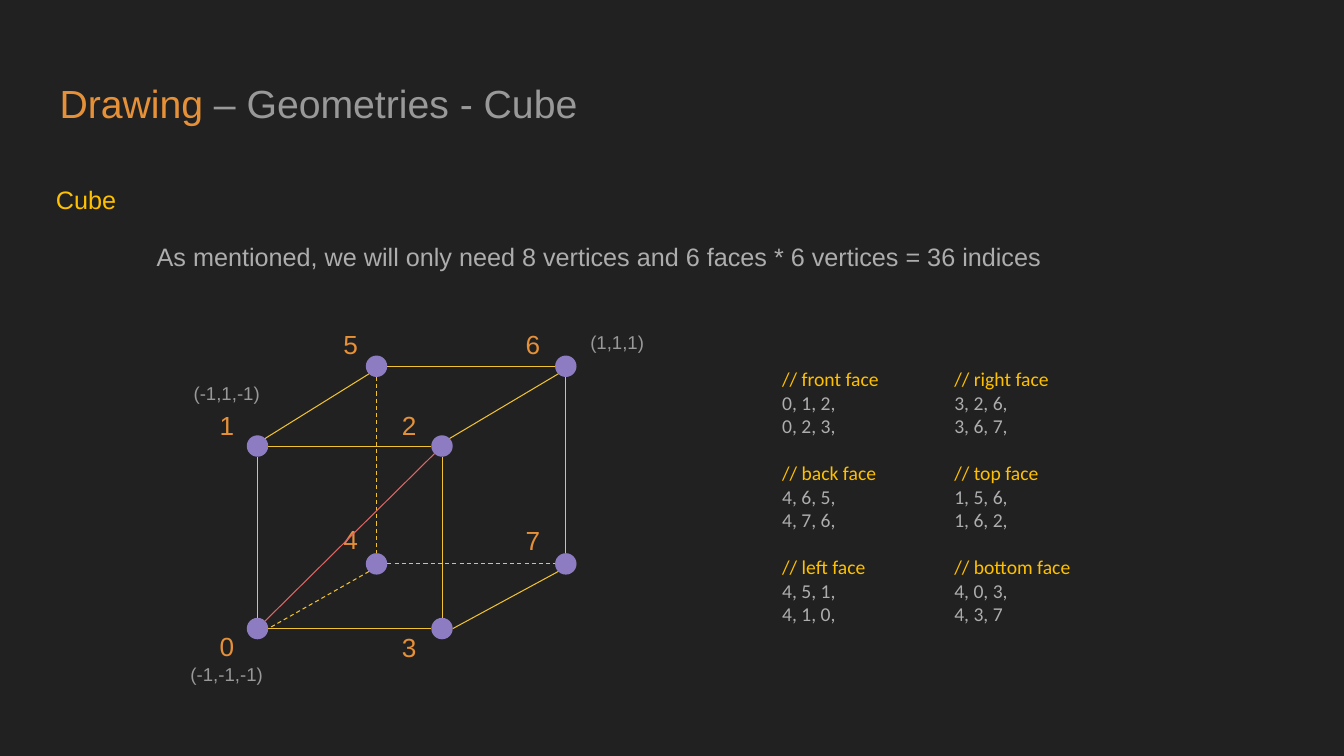
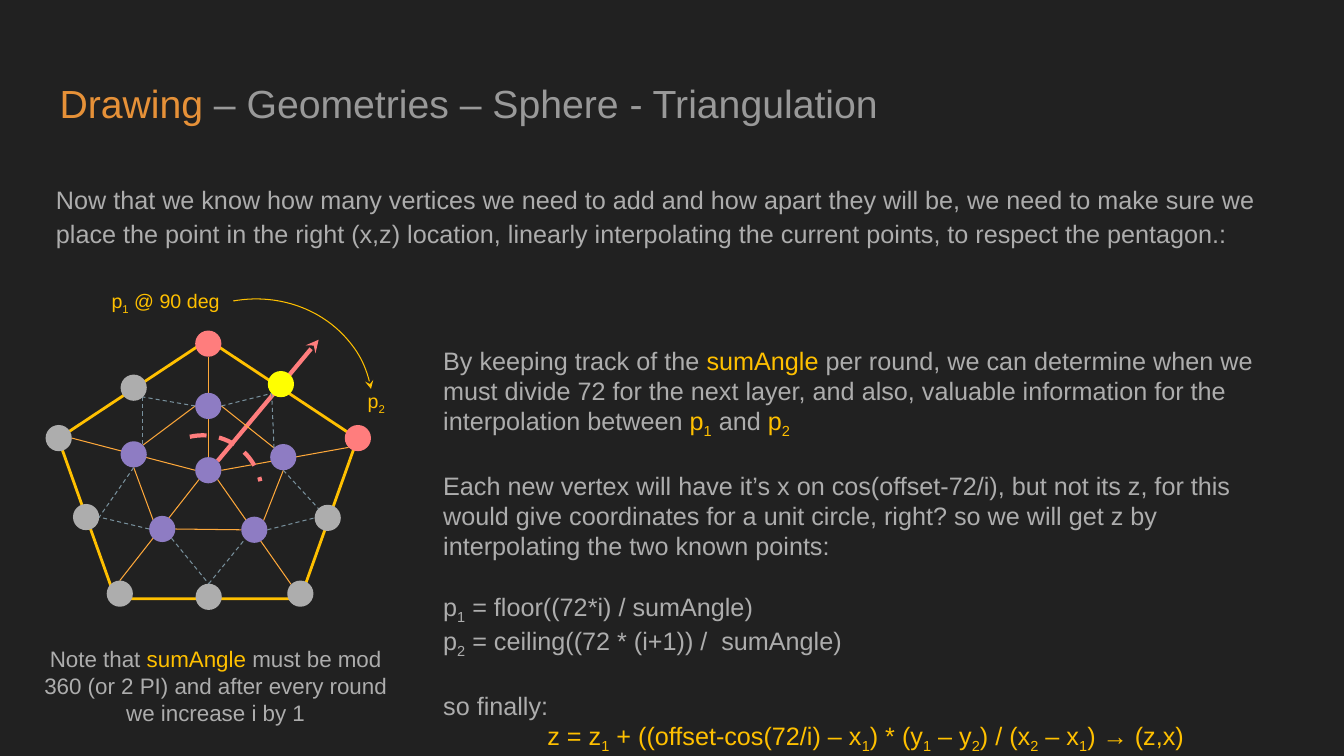
from dataclasses import dataclass
from math import sqrt
from typing import NamedTuple

from lxml.etree import SubElement
from pptx import Presentation
from pptx.dml.color import RGBColor
from pptx.enum.dml import MSO_LINE
from pptx.enum.shapes import MSO_CONNECTOR, MSO_SHAPE
from pptx.enum.text import MSO_ANCHOR, MSO_AUTO_SIZE, PP_ALIGN
from pptx.oxml.ns import qn
from pptx.util import Cm, Pt


@dataclass(frozen=True)
class Theme:
    background: str = "212121"
    orange: str = "E69138"
    heading: str = "999999"
    body: str = "ADADAD"
    accent: str = "FFC000"
    vertex: str = "8E7CC3"
    cube_edge: str = "F1C232"
    diagonal: str = "E06666"
    spoke: str = "FEA83A"
    split: str = "78909C"
    marked: str = "FF7D7D"
    current: str = "FFFF00"
    sans: str = "Arial"
    listing: str = "Calibri"
    title_size: float = 28
    body_size: float = 18
    label_size: float = 18.7
    note_size: float = 16
    small_size: float = 14
    coordinate_size: float = 13.3
    body_leading: float = 1.15
    gap_factor: float = 1.2
    thin: float = 0.75
    outline: float = 2
    thick: float = 3


THEME = Theme()


class Box(NamedTuple):
    left: float
    top: float
    width: float
    height: float

    def inner(self, x, y, width, height):
        return Box(self.left + x, self.top + y, width, height)

    def around(self, centre, width, height):
        x, y = centre
        return self.inner(x - width / 2, y - height / 2, width, height)

    def lengths(self):
        return [Cm(side) for side in self]


SLIDE = Box(0, 0, 33.87, 19.05)
TITLE = Box(1.16, 1.65, 31.55, 2.13)
WIDE_INSETS = (0.34, 0.34)
BODY_INSETS = (0.25, 0.25)
TEXT_INSETS = (0.25, 0.13)
DIAGONAL = 1 / sqrt(2)
SITES = {
    "n": (0, -1), "e": (1, 0), "s": (0, 1), "w": (-1, 0),
    "ne": (DIAGONAL, -DIAGONAL), "se": (DIAGONAL, DIAGONAL),
    "sw": (-DIAGONAL, DIAGONAL), "nw": (-DIAGONAL, -DIAGONAL),
}


def rgb(colour):
    return RGBColor.from_string(colour)


def add_piece(paragraph, words, size, colour, font, subscript=False):
    if not words:
        return
    run = paragraph.add_run()
    run.text = words
    run.font.size = Pt(size)
    run.font.name = font
    run.font.color.rgb = rgb(colour)
    if subscript:
        run._r.get_or_add_rPr().set("baseline", "-25000")


def write(paragraph, markup, size, colour=THEME.body, accent=THEME.accent, font=THEME.sans):
    """Switch colour at each bar; lower the character after each underscore."""
    for order, words in enumerate(markup.split("|")):
        shade = accent if order % 2 else colour
        start, *indexed = words.split("_")
        add_piece(paragraph, start, size, shade, font)
        for part in indexed:
            add_piece(paragraph, part[0], size, shade, font, subscript=True)
            add_piece(paragraph, part[1:], size, shade, font)


def set_frame(frame, insets, anchor=MSO_ANCHOR.TOP):
    frame.word_wrap = True
    frame.auto_size = MSO_AUTO_SIZE.NONE
    frame.vertical_anchor = anchor
    frame.margin_left = frame.margin_right = Cm(insets[0])
    frame.margin_top = frame.margin_bottom = Cm(insets[1])


def add_text(slide, box, lines, size, insets=TEXT_INSETS, anchor=MSO_ANCHOR.TOP,
             align=PP_ALIGN.LEFT, **look):
    frame = slide.shapes.add_textbox(*box.lengths()).text_frame
    set_frame(frame, insets, anchor)
    for order, markup in enumerate(lines):
        paragraph = frame.paragraphs[0] if order == 0 else frame.add_paragraph()
        paragraph.alignment = align
        write(paragraph, markup, size, **look)
    return frame.paragraphs


def open_gaps(paragraphs, size):
    for paragraph in paragraphs:
        paragraph.space_before = Pt(size * THEME.gap_factor)


def set_line(line, colour, width, dashed=False, arrow=False):
    line.color.rgb = rgb(colour)
    line.width = Pt(width)
    if dashed:
        line.dash_style = MSO_LINE.DASH
    if arrow:
        SubElement(line._get_or_add_ln(), qn("a:tailEnd"), type="stealth")


def add_line(slide, box, start, end, colour, width=THEME.thin, **style):
    ends = [Cm(value) for x, y in (start, end) for value in (box.left + x, box.top + y)]
    connector = slide.shapes.add_connector(MSO_CONNECTOR.STRAIGHT, *ends)
    set_line(connector.line, colour, width, **style)
    SubElement(connector._element.spPr, qn("a:effectLst"))


def add_outline(slide, kind, box, colour, width, rotation=0, **style):
    outline = slide.shapes.add_shape(kind, *box.lengths())
    outline.shadow.inherit = False
    outline.fill.background()
    outline.rotation = rotation
    set_line(outline.line, colour, width, **style)


def add_vertex(slide, box, centre, diameter, colour):
    vertex = slide.shapes.add_shape(MSO_SHAPE.OVAL, *box.around(centre, diameter, diameter).lengths())
    vertex.shadow.inherit = False
    vertex.fill.solid()
    vertex.fill.fore_color.rgb = rgb(colour)
    vertex.line.fill.background()


def site(centre, side, diameter):
    return tuple(c + step * diameter / 2 for c, step in zip(centre, SITES[side]))


def add_edges(slide, box, centres, diameter, edges, colour, dashed=False):
    for edge in edges:
        first, first_side, second, second_side = edge.split()
        add_line(slide, box, site(centres[first], first_side, diameter),
                 site(centres[second], second_side, diameter), colour, dashed=dashed)


def add_titled_slide(deck, topic):
    slide = deck.slides.add_slide(deck.slide_layouts[5])
    title = slide.shapes.title
    title.left, title.top, title.width, title.height = TITLE.lengths()
    set_frame(title.text_frame, WIDE_INSETS)
    heading = title.text_frame.paragraphs[0]
    heading.alignment = PP_ALIGN.LEFT
    write(heading, f"|Drawing |{topic}", THEME.title_size, THEME.heading, THEME.orange)
    return slide


def add_body(slide, box, lines):
    paragraphs = add_text(slide, box, lines, THEME.body_size, BODY_INSETS)
    for paragraph in paragraphs:
        paragraph.line_spacing = THEME.body_leading
        paragraph.space_after = Pt(16)
    return paragraphs


def draw_cube(slide, box):
    diameter = 0.54
    centres = {
        "0": (2.53, 7.86), "1": (2.53, 3.26), "2": (7.18, 3.26), "3": (7.18, 7.86),
        "4": (5.53, 6.23), "5": (5.53, 1.25), "6": (10.3, 1.25), "7": (10.3, 6.23),
    }
    label_offsets = {
        "0": (-0.77, 0.45), "1": (-0.77, -0.54), "2": (-0.83, -0.54), "3": (-0.83, 0.47),
        "4": (-0.65, -0.62), "5": (-0.65, -0.55), "6": (-0.83, -0.55), "7": (-0.83, -0.6),
    }
    for number, (x, y) in centres.items():
        dx, dy = label_offsets[number]
        add_text(slide, box.around((x + dx, y + dy), 1.98, 1.42), [number], THEME.label_size,
                 WIDE_INSETS, MSO_ANCHOR.MIDDLE, PP_ALIGN.CENTER, colour=THEME.orange)
        add_vertex(slide, box, (x, y), diameter, THEME.vertex)
    visible = ["0 n 1 s", "1 ne 5 sw", "5 e 6 w", "6 s 7 n", "7 sw 3 e",
               "3 n 2 s", "1 e 2 w", "2 ne 6 sw", "0 e 3 w"]
    hidden = ["4 sw 0 e", "4 e 7 w", "5 s 4 n"]
    add_edges(slide, box, centres, diameter, visible, THEME.cube_edge)
    add_edges(slide, box, centres, diameter, hidden, THEME.cube_edge, dashed=True)
    add_edges(slide, box, centres, diameter, ["2 sw 0 ne"], THEME.diagonal)
    for coordinate, x, y in (("(-1,-1,-1)", 0, 8.38), ("(-1,1,-1)", 0, 1.31), ("(1,1,1)", 9.84, 0.02)):
        add_text(slide, box.inner(x, y, 3.51, 1.24), [coordinate], THEME.coordinate_size,
                 WIDE_INSETS, align=PP_ALIGN.CENTER, colour=THEME.heading)


def list_indices(slide, box):
    columns = (
        (("front", "0, 1, 2,", "0, 2, 3,"), ("back", "4, 6, 5,", "4, 7, 6,"), ("left", "4, 5, 1,", "4, 1, 0,")),
        (("right", "3, 2, 6,", "3, 6, 7,"), ("top", "1, 5, 6,", "1, 6, 2,"), ("bottom", "4, 0, 3,", "4, 3, 7")),
    )
    step = box.width / len(columns)
    for order, faces in enumerate(columns):
        lines = [line for face, *triangles in faces for line in (f"|// {face} face", *triangles)]
        paragraphs = add_text(slide, box.inner(order * step, 0, step, box.height), lines,
                              THEME.small_size, font=THEME.listing)
        open_gaps(paragraphs[3::3], THEME.small_size)


def draw_pentagon(slide, box):
    diameter = 0.66
    inner = {
        "hub": (4.11, 4.69), "inner_top": (4.11, 3.07), "inner_right": (6, 4.36),
        "inner_low_right": (5.27, 6.19), "inner_low_left": (2.95, 6.17), "inner_left": (2.23, 4.29),
    }
    outer = {
        "low_right": (6.43, 7.8), "low_left": (1.88, 7.8), "left": (0.34, 3.88),
        "mid_top_left": (2.23, 2.61), "mid_right": (7.12, 5.89),
        "mid_left": (1.03, 5.87), "mid_low": (4.12, 7.88),
    }
    known = {"top": (4.11, 1.5), "right": (7.88, 3.88)}
    current = {"mid_top_right": (5.94, 2.52)}
    centres = inner | outer | known | current
    spokes = [
        "hub n top s", "hub e right sw", "hub se low_right nw", "hub sw low_left n", "hub w left e",
        "inner_top w inner_left ne", "inner_left s inner_low_left nw",
        "inner_low_left e inner_low_right w", "inner_low_right ne inner_right s",
        "inner_right nw inner_top e",
    ]
    splits = [
        "inner_top e mid_top_right sw", "mid_top_right sw inner_right nw",
        "mid_top_left se inner_left ne", "inner_top w mid_top_left se",
        "inner_left s mid_left e", "inner_low_left w mid_left e",
        "inner_low_left se mid_low n", "mid_low n inner_low_right sw",
        "inner_low_right e mid_right w", "inner_right s mid_right nw",
    ]
    add_line(slide, box, site(centres["hub"], "ne", diameter), (6.89, 1.4),
             THEME.marked, THEME.thick, arrow=True)
    add_outline(slide, MSO_SHAPE.REGULAR_PENTAGON, box.inner(0.33, 1.4, 7.54, 6.53),
                THEME.accent, THEME.outline)
    add_edges(slide, box, centres, diameter, spokes, THEME.spoke)
    add_edges(slide, box, centres, diameter, splits, THEME.split, dashed=True)
    for group, colour in ((inner, THEME.vertex), (outer, THEME.body),
                          (known, THEME.marked), (current, THEME.current)):
        for centre in group.values():
            add_vertex(slide, box, centre, diameter, colour)
    add_outline(slide, MSO_SHAPE.ARC, box.inner(2.49, 3.81, 2.97, 2.97),
                THEME.marked, THEME.thick, -12.8, dashed=True)
    add_outline(slide, MSO_SHAPE.ARC, box.inner(2.21, 0.38, 6.05, 5.59),
                THEME.accent, THEME.thin, -10.2, arrow=True)
    for point, place in (("p_1 @ 90 deg", (1.27, 0, 3.53, 0.86)), ("p_2", (7.47, 2.52, 1.75, 0.86))):
        add_text(slide, box.inner(*place), [point], THEME.small_size,
                 align=PP_ALIGN.CENTER, colour=THEME.accent)


def explain_interpolation(slide, box):
    paragraphs = add_text(slide, box, [
        "By keeping track of the |sumAngle| per round, we can determine when we must divide 72 for the "
        "next layer, and also, valuable information for the interpolation between |p_1| and |p_2",
        "Each new vertex will have it’s x on cos(offset-72/i), but not its z, for this would give "
        "coordinates for a unit circle, right? so we will get z by interpolating the two known points:",
        "p_1 = floor((72*i) / sumAngle)",
        "p_2 = ceiling((72 * (i+1)) /  sumAngle)",
        "so finally:",
        "|z = z_1 + ((offset-cos(72/i) – x_1) * (y_1 – y_2) / (x_2 – x_1) → (z,x)",
    ], THEME.body_size)
    open_gaps([paragraphs[order] for order in (1, 2, 4)], THEME.body_size)
    paragraphs[-1].alignment = PP_ALIGN.CENTER


def build_cube_slide(deck):
    slide = add_titled_slide(deck, "– Geometries - Cube")
    paragraphs = add_body(slide, Box(TITLE.left, 4.27, TITLE.width, 4.09), [
        "|Cube", "As mentioned, we will only need 8 vertices and 6 faces * 6 vertices = 36 indices"])
    paragraphs[1]._p.get_or_add_pPr().set("marL", str(Cm(2.54)))
    draw_cube(slide, Box(3.96, 7.98, 13.34, 9.63))
    list_indices(slide, Box(19.46, 9.12, 8.68, 6.83))


def build_sphere_slide(deck):
    slide = add_titled_slide(deck, "– Geometries – Sphere - Triangulation")
    add_body(slide, Box(TITLE.left, 4.27, TITLE.width, 2.29), [
        "Now that we know how many vertices we need to add and how apart they will be, we need to make "
        "sure we place the point in the right (x,z) location, linearly interpolating the current points, "
        "to respect the pentagon.:"])
    draw_pentagon(slide, Box(1.14, 7.16, 9.22, 8.13))
    explain_interpolation(slide, Box(10.92, 8.56, 21.79, 10.26))
    add_text(slide, Box(0.66, 16.13, 9.55, 2.31), [
        "Note that |sumAngle |must be mod 360 (or 2 PI) and after every round we increase i by 1"],
        THEME.note_size, align=PP_ALIGN.CENTER)


def main():
    deck = Presentation()
    deck.slide_width, deck.slide_height = Cm(SLIDE.width), Cm(SLIDE.height)
    backdrop = deck.slide_master.background.fill
    backdrop.solid()
    backdrop.fore_color.rgb = rgb(THEME.background)
    build_cube_slide(deck)
    build_sphere_slide(deck)
    deck.save("out.pptx")


if __name__ == "__main__":
    main()
